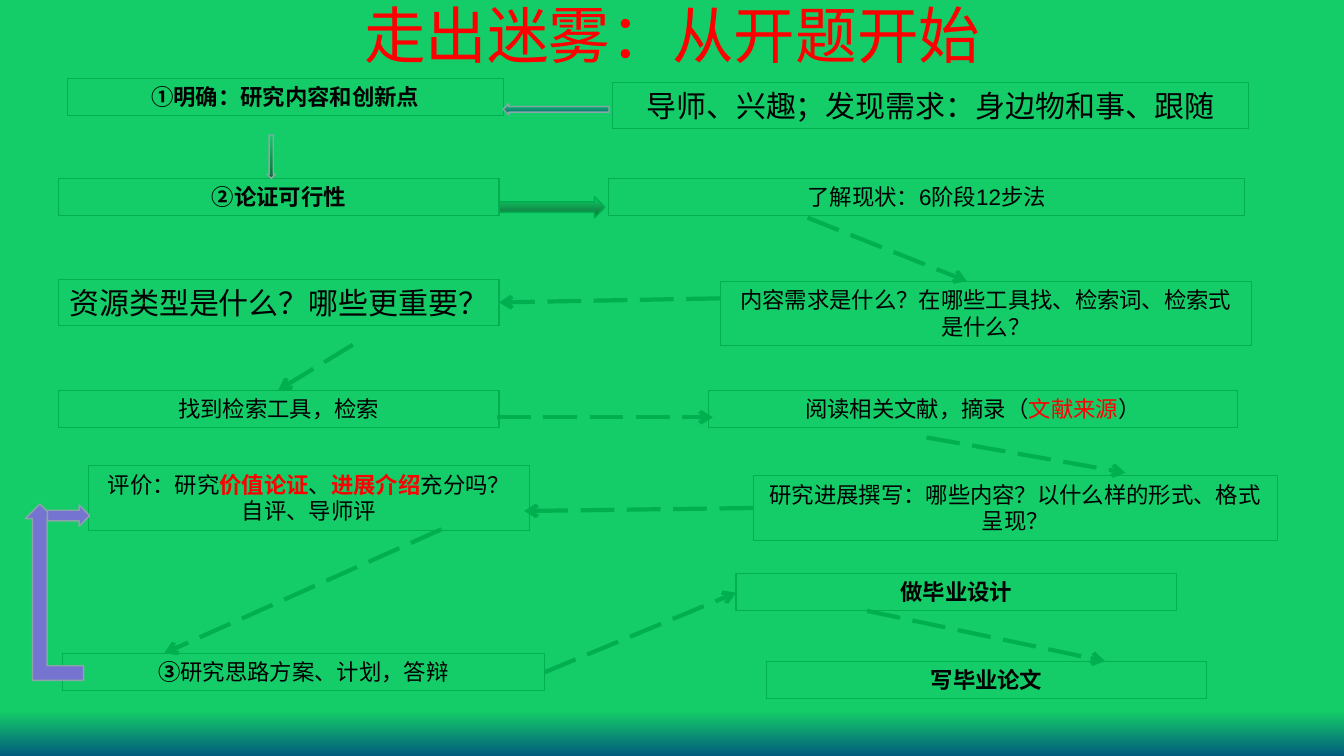
import pptx
import pptx.util
import pptx.dml.color
import pptx.enum.dml
import pptx.enum.shapes
import pptx.enum.text
import pptx.oxml
import pptx.oxml.ns

Inches, Pt = pptx.util.Inches, pptx.util.Pt
Shape = pptx.enum.shapes.MSO_SHAPE
COLORS = {"green": "14CD68", "forest": "0B6E38", "navy": "035C7D", "line": "00B050",
          "purple": "7575D1", "gray": "8AA6A8", "red": "FF0000", "black": "000000"}


def rgb(name):
    return pptx.dml.color.RGBColor.from_string(COLORS[name])


def add_text(paragraph, text, size=16, font="Arial", color="black", bold=False):
    run = paragraph.add_run()
    run.text = text
    run.font.size, run.font.name, run.font.bold = Pt(size), font, bold
    run.font.color.rgb = rgb(color)


def fill_gradient(fill, start, end, first=0):
    fill.gradient()
    fill.gradient_angle = 270
    for stop, color, position in zip(fill.gradient_stops, (start, end), (first, 1)):
        stop.color.rgb, stop.position = rgb(color), position


class FlowSlide:
    def __init__(self, deck):
        self.slide = deck.slides.add_slide(deck.slide_layouts[5])
        self.shapes = self.slide.shapes
        fill_gradient(self.slide.background.fill, "green", "navy", 0.94)

    def title(self, text, left, top, width, height):
        title = self.shapes.title
        title.left, title.top = Inches(left), Inches(top)
        title.width, title.height = Inches(width), Inches(height)
        title.text_frame.vertical_anchor = pptx.enum.text.MSO_ANCHOR.MIDDLE
        paragraph = title.text_frame.paragraphs[0]
        paragraph.alignment = pptx.enum.text.PP_ALIGN.CENTER
        add_text(paragraph, text, size=44, color="red")

    def shape(self, kind, at, line, weight):
        shape = self.shapes.add_shape(kind, *map(Inches, at))
        shape.shadow.inherit = False
        shape.line.color.rgb, shape.line.width = rgb(line), Pt(weight)
        return shape

    def step(self, at, *runs, **style):
        """A run is a string or a (string, format) pair."""
        box = self.shape(Shape.RECTANGLE, at, "line", 0.75)
        box.fill.background()
        frame = box.text_frame
        frame.word_wrap = True
        frame.auto_size = pptx.enum.text.MSO_AUTO_SIZE.SHAPE_TO_FIT_TEXT
        frame.vertical_anchor = pptx.enum.text.MSO_ANCHOR.TOP
        paragraph = frame.paragraphs[0]
        paragraph.alignment = pptx.enum.text.PP_ALIGN.CENTER
        for run in runs:
            text, own = (run, {}) if isinstance(run, str) else run
            add_text(paragraph, text, **{**style, **own})

    def block_arrow(self, kind, at, colors, line="gray", flip=False):
        arrow = self.shape(kind, at, line, 1)
        if len(colors) == 2:
            fill_gradient(arrow.fill, *colors)
        else:
            arrow.fill.solid()
            arrow.fill.fore_color.rgb = rgb(colors[0])
        if flip:
            arrow._element.spPr.xfrm.set("flipH", "1")

    def dashed_arrow(self, *ends):
        arrow = self.shapes.add_connector(
            pptx.enum.shapes.MSO_CONNECTOR.STRAIGHT, *map(Inches, ends))
        arrow.line.color.rgb, arrow.line.width = rgb("line"), Pt(3)
        arrow.line.dash_style = pptx.enum.dml.MSO_LINE.LONG_DASH
        head = pptx.oxml.ns.qn("a:tailEnd")
        arrow.line._get_or_add_ln().makeelement(head)
        line = arrow.line._get_or_add_ln()
        line.append(line.makeelement(head, {"type": "arrow"}))
        properties = arrow._element.spPr
        properties.append(properties.makeelement(pptx.oxml.ns.qn("a:effectLst")))


deck = pptx.Presentation()
deck.slide_width, deck.slide_height = Inches(13.33), Inches(7.5)
flow = FlowSlide(deck)
flow.title("走出迷雾：从开题开始", 0.67, -0.11, 12, 0.89)

# Box heights: one line, one large line, two lines
ONE, LARGE, TWO = 0.37, 0.46, 0.64
WIDE = 4.37
BOLD = {"bold": True}
NUMBER = {"font": "Calibri", "bold": True}
KEY = {"color": "red", "bold": True}

# Topic and feasibility
flow.step((0.67, 0.78, 4.32, ONE), ("①", NUMBER), "明确：研究内容和创新点", **BOLD)
flow.step((6.08, 0.82, 6.3, LARGE), "导师、兴趣；发现需求：身边物和事、跟随", size=21.4)
flow.step((0.58, 1.77, WIDE, ONE), ("②", NUMBER), "论证可行性", **BOLD)
flow.step((6.04, 1.77, 6.3, ONE), "了解现状：6阶段12步法")

# Searching and reading
flow.step((7.15, 2.79, 5.26, TWO), "内容需求是什么？在哪些工具找、检索词、检索式是什么？")
flow.step((0.58, 2.77, WIDE, LARGE), "资源类型是什么？哪些更重要？", size=21.4, font="Calibri")
flow.step((0.58, 3.87, WIDE, ONE), "找到检索工具，检索", font="Calibri")
flow.step((7.03, 3.87, 5.24, ONE),
          "阅读相关文献，摘录（", ("文献来源", {"color": "red"}), "）")

# Writing and review
flow.step((7.47, 4.72, 5.2, TWO), "研究进展撰写：哪些内容？以什么样的形式、格式呈现？")
flow.step((0.88, 4.62, WIDE, TWO), "评价：研究", ("价值论证", KEY), "、",
          ("进展介绍", KEY), "充分吗？自评、导师评", font="Calibri")

# Plan, project and thesis
flow.step((0.62, 6.48, 4.78, ONE), ("③", BOLD), "研究思路方案、计划，答辩", font="Calibri")
flow.step((7.3, 5.69, WIDE, ONE), "做毕业设计", **BOLD)
flow.step((7.6, 6.56, WIDE, ONE), "写毕业论文", **BOLD)

# Dashed arrows from step to step
for ends in [(8.01, 2.16, 9.59, 2.79), (7.14, 2.96, 4.95, 3), (3.5, 3.42, 2.76, 3.87),
             (4.93, 4.14, 7.07, 4.14), (9.19, 4.34, 11.16, 4.69), (7.47, 5.04, 5.2, 5.07),
             (4.38, 5.25, 1.63, 6.48), (5.4, 6.67, 7.3, 5.88), (8.6, 6.06, 10.96, 6.56)]:
    flow.dashed_arrow(*ends)

# Block arrows, with the loop back to the review
flow.block_arrow(Shape.RIGHT_ARROW, (4.95, 1.95, 1.05, 0.21), ("green", "forest"), "line")
flow.block_arrow(Shape.BENT_UP_ARROW, (0.25, 5, 0.58, 1.75), ("purple",), flip=True)
flow.block_arrow(Shape.DOWN_ARROW, (2.65, 1.34, 0.08, 0.43), ("green", "forest"), flip=True)
flow.block_arrow(Shape.RIGHT_ARROW, (0.47, 5.01, 0.42, 0.21), ("purple",))
flow.block_arrow(Shape.LEFT_ARROW, (4.99, 1.03, 1.05, 0.11), ("green", "navy"))

deck.save("out.pptx")
